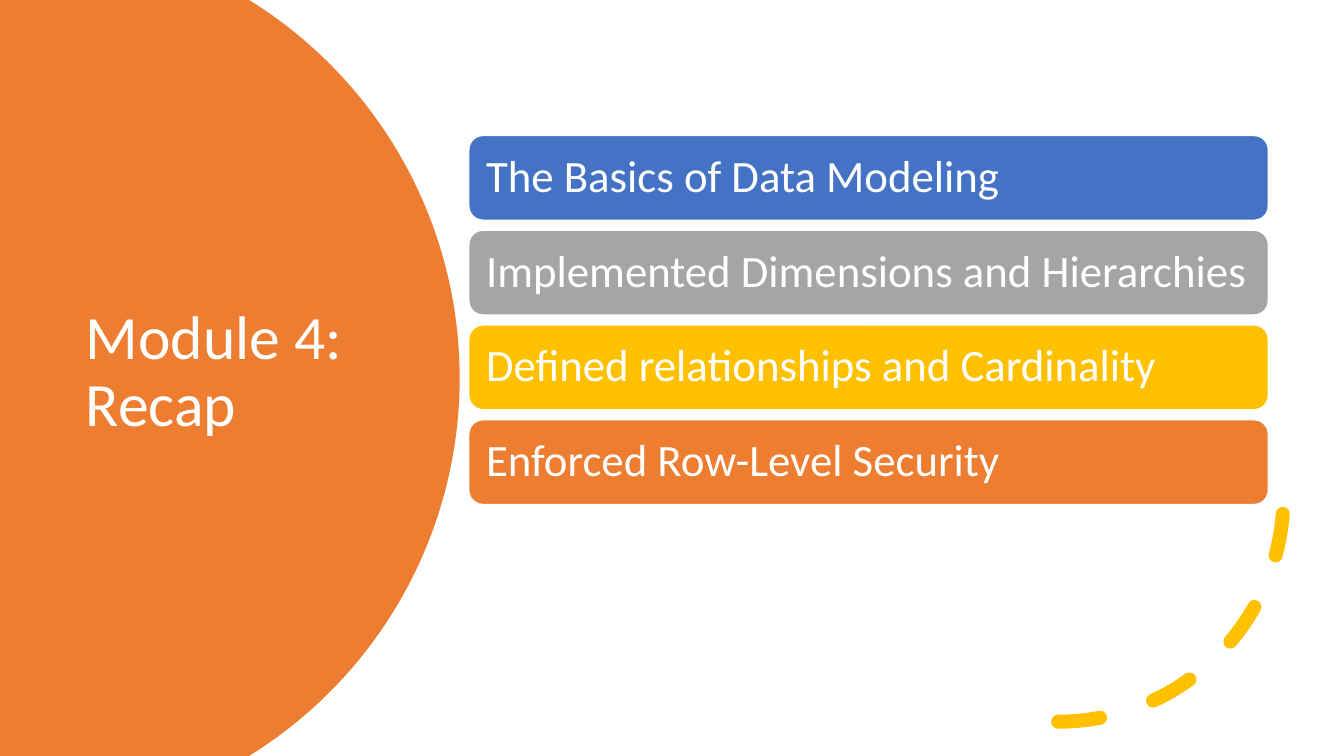
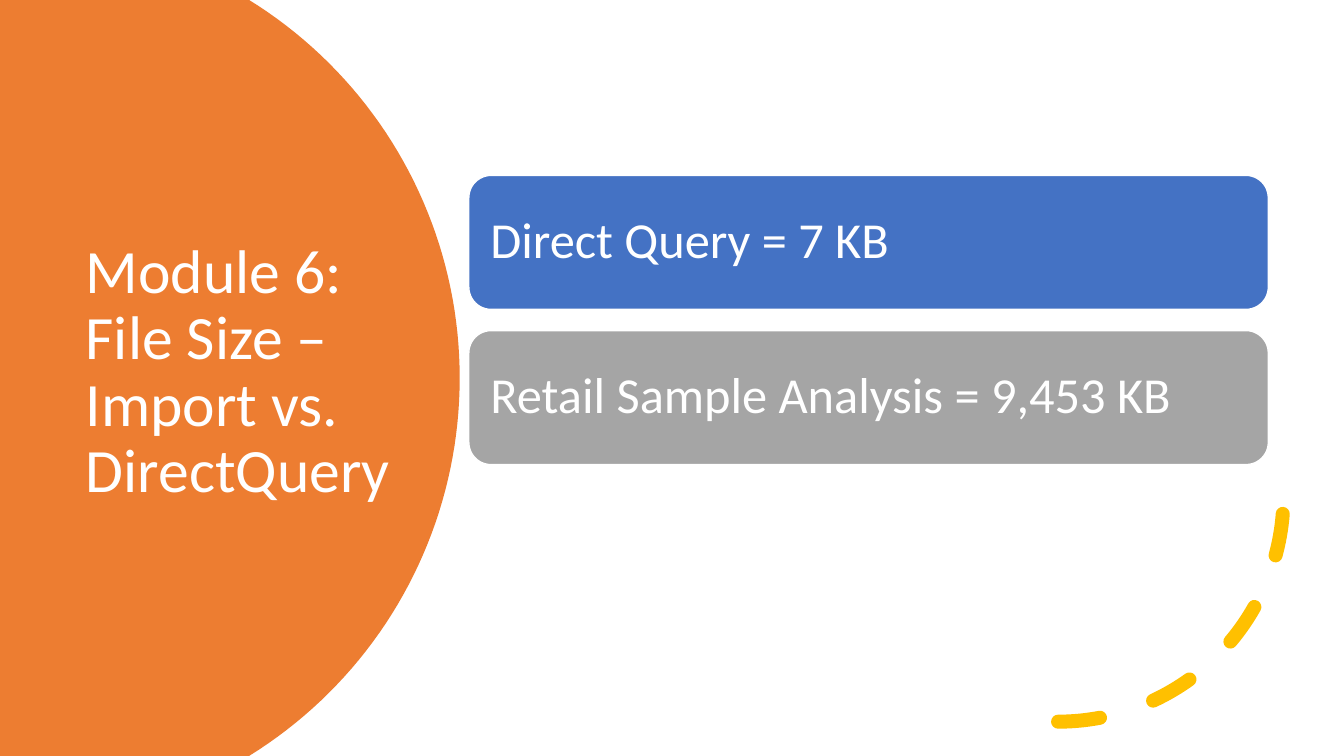
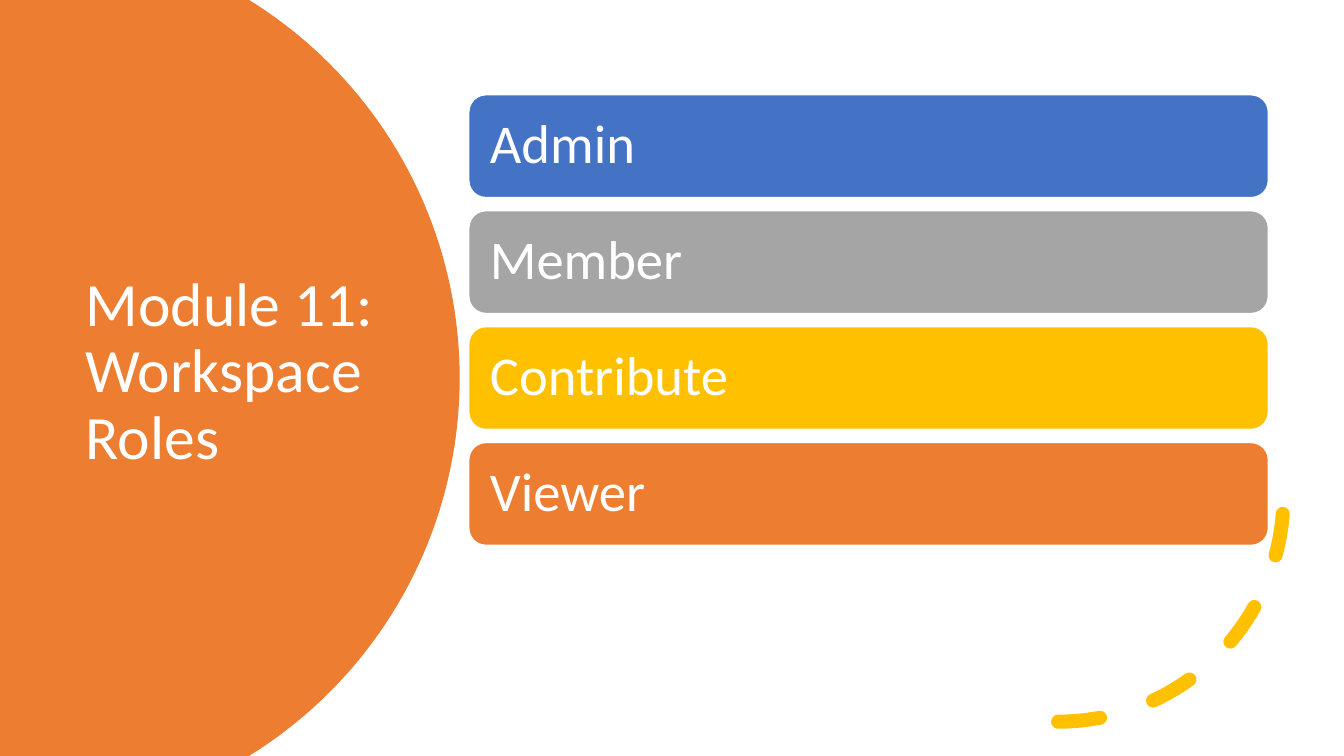
from math import asin, cos, sin

from pptx import Presentation
from pptx.dml.color import RGBColor
from pptx.enum.dml import MSO_LINE
from pptx.enum.shapes import MSO_SHAPE as SHAPE
from pptx.enum.text import MSO_ANCHOR as ANCHOR, MSO_AUTO_SIZE as AUTO_SIZE, PP_ALIGN as ALIGN
from pptx.util import Inches, Pt

FONT = "Calibri"
WHITE = "FFFFFF"
ORANGE = "ED7D31"
GOLD = "FFC000"
BAR_COLORS = ["4472C4", "A5A5A5", GOLD, ORANGE]

SLIDE_W, SLIDE_H = 13.33, 7.5
TITLE_BOX = (0.75, 1.26, 3.5, 4.88)
ARC_BOX = (8.26, 2.69, 4.47, 4.47)
BARS_BOX = (4.65, 0.75, 7.93, 4.85)

SLIDES = [
    dict(title="Module 4: Recap", height=0.84, gap=0.1, inset=0.13, size=32,
         items=["The Basics of Data Modeling",
                "Implemented Dimensions and Hierarchies",
                "Defined relationships and Cardinality",
                "Enforced Row-Level Security"]),
    dict(title="Module 6: File Size – Import vs. DirectQuery",
         height=1.33, gap=0.21, inset=0.15, size=36,
         items=["Direct Query = 7 KB", "Retail Sample Analysis = 9,453 KB"]),
    dict(title="Module 11: Workspace Roles",
         height=1.02, gap=0.13, inset=0.16, size=39,
         items=["Admin", "Member", "Contribute", "Viewer"]),
]


def rgb(value):
    return RGBColor.from_string(value)


def inches(box):
    return [Inches(v) for v in box]


def paint(sp, color):
    sp.shadow.inherit = False
    sp.fill.solid()
    sp.fill.fore_color.rgb = rgb(color)


def write(tf, text, size):
    tf.text = text
    tf.word_wrap = True
    tf.auto_size = AUTO_SIZE.NONE
    tf.vertical_anchor = ANCHOR.MIDDLE
    p = tf.paragraphs[0]
    p.alignment = ALIGN.LEFT
    p.line_spacing = 0.9
    p.font.name = FONT
    p.font.size = Pt(size)
    p.font.color.rgb = rgb(WHITE)


def add_panel(s, height, center_x=0.15, radius=4.41, steps=80):
    middle = height / 2
    sweep = asin(middle / radius)
    angles = [sweep * (2 * i / steps - 1) for i in range(steps + 1)]
    edge = [(center_x + radius * cos(a), middle + radius * sin(a)) for a in angles]
    outline = s.shapes.build_freeform(0, 0)
    outline.add_line_segments([inches(point) for point in edge + [(0, height)]], close=True)
    sp = outline.convert_to_shape()
    paint(sp, ORANGE)
    sp.line.fill.background()
    return sp


def add_title(s, box, text, panel):
    sp = s.shapes.title
    sp.left, sp.top, sp.width, sp.height = inches(box)
    write(sp.text_frame, text, 44)
    panel.element.addnext(sp.element)


def add_dashed_arc(s, box):
    sp = s.shapes.add_shape(SHAPE.ARC, *inches(box))
    sp.shadow.inherit = False
    sp.fill.background()
    sp.line.color.rgb = rgb(GOLD)
    sp.line.width = Pt(10)
    sp.line.dash_style = MSO_LINE.DASH
    sp.element.spPr.xfrm.set("flipV", "1")
    sp.element.spPr.ln.set("cap", "rnd")


def add_bars(s, box, items, height, gap, inset, size):
    left, top, width, box_height = box
    pitch = height + gap
    first = top + (box_height - len(items) * pitch + gap) / 2
    for i, (text, color) in enumerate(zip(items, BAR_COLORS)):
        sp = s.shapes.add_shape(SHAPE.ROUNDED_RECTANGLE,
                                *inches((left, first + i * pitch, width, height)))
        paint(sp, color)
        sp.line.color.rgb = rgb(WHITE)
        sp.line.width = Pt(1)
        tf = sp.text_frame
        tf.margin_left = tf.margin_right = Inches(inset)
        tf.margin_top = tf.margin_bottom = 0
        write(tf, text, size)


def add_module_slide(prs, title, **bars):
    s = prs.slides.add_slide(prs.slide_layouts[5])
    panel = add_panel(s, SLIDE_H)
    add_title(s, TITLE_BOX, title, panel)
    add_dashed_arc(s, ARC_BOX)
    add_bars(s, BARS_BOX, **bars)


def main():
    prs = Presentation()
    prs.slide_width, prs.slide_height = Inches(SLIDE_W), Inches(SLIDE_H)
    for content in SLIDES:
        add_module_slide(prs, **content)
    prs.save("out.pptx")


if __name__ == "__main__":
    main()
